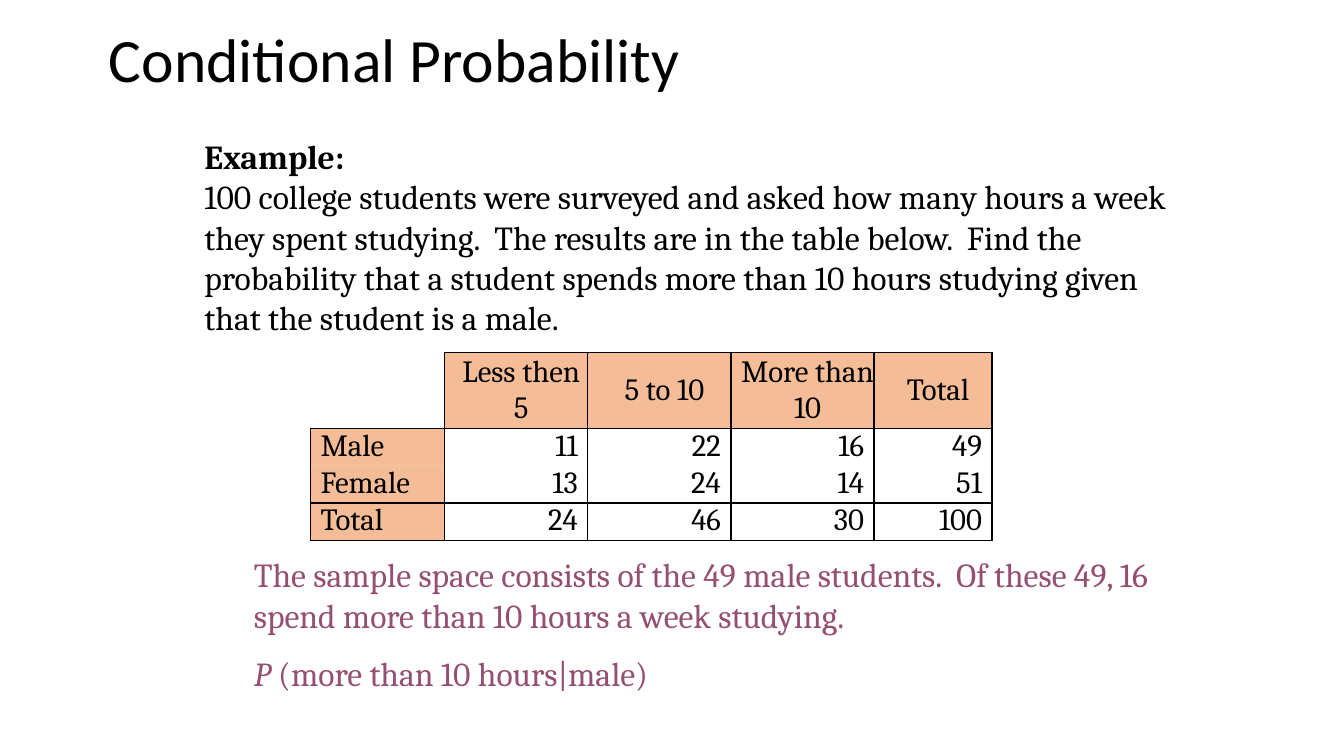
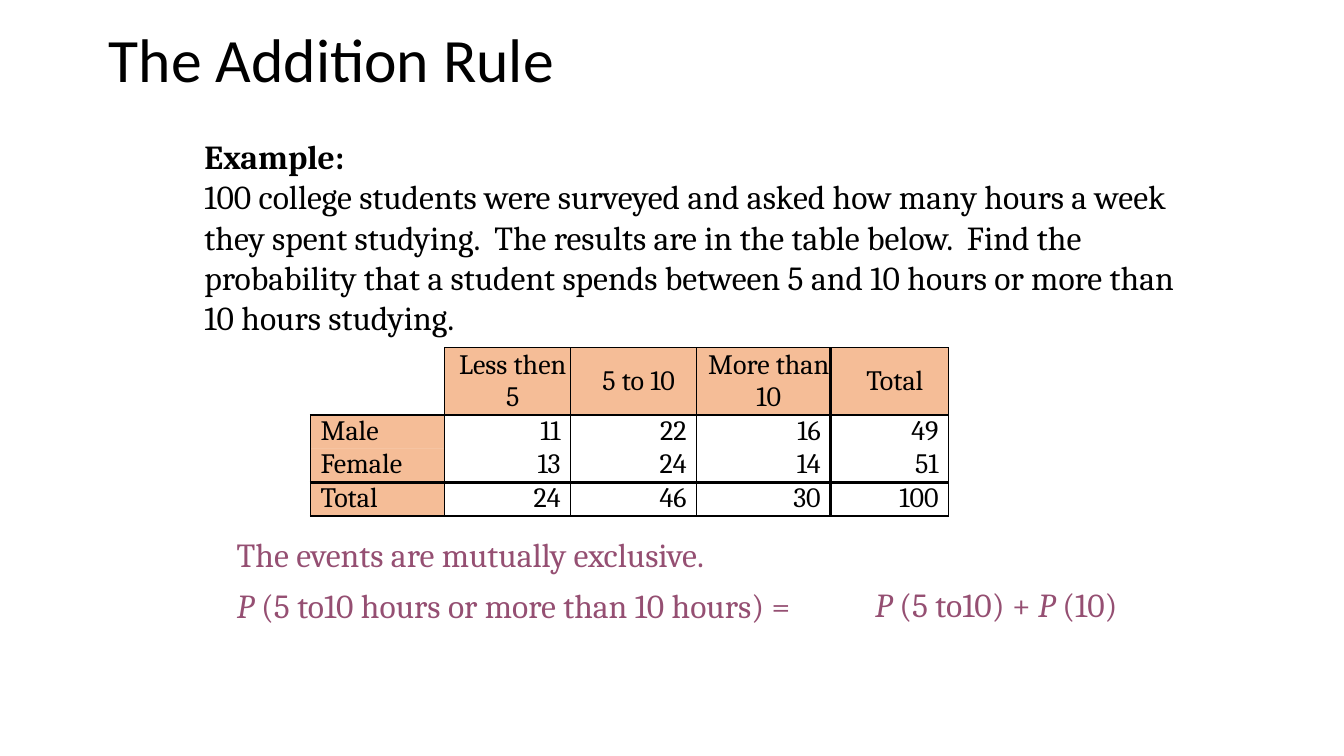
from dataclasses import dataclass

from lxml.etree import SubElement
from pptx import Presentation
from pptx.dml.color import RGBColor
from pptx.enum.text import MSO_ANCHOR as Anchor, MSO_AUTO_SIZE as AutoSize, PP_ALIGN as Align
from pptx.oxml.ns import qn
from pptx.util import Inches, Pt


@dataclass(frozen=True)
class Theme:
    ink: str = "000000"
    answer: str = "954F72"
    heading_fill: str = "ED7D31"
    heading_alpha: int = 50
    title_font: str = "Calibri"
    body_font: str = "Cambria"
    title_size: int = 44
    body_size: int = 24
    thin: float = 1
    thick: float = 2.25


THEME = Theme()

SURVEY = [
    ["", "Less then 5", "5 to 10", "More than 10", "Total"],
    ["Male", "11", "22", "16", "49"],
    ["Female", "13", "24", "14", "51"],
    ["Total", "24", "46", "30", "100"],
]
TOTAL_ROW, TOTAL_COL = len(SURVEY) - 1, len(SURVEY[0]) - 1

QUESTION = ("100 college students were surveyed and asked how many hours a week "
            "they spent studying.  The results are in the table below.  "
            "Find the probability that a student spends ")
P = ("P ", "i")

# Answers are (left, top, width, height, runs); a run is (text, style), where style is "", "b" or "i".
SLIDES = [
    dict(
        title="Conditional Probability",
        asked="more than 10 hours studying given that the student is a male.",
        table=dict(top=3.5, columns=[1.33, 1.42, 1.42, 1.42, 1.17],
                   header=0.75, row=0.37, size=22),
        answers=[
            (2.42, 5.45, 9.17, 0.91, [(
                "The sample space consists of the 49 male students.  Of these 49, "
                "16 spend more than 10 hours a week studying.", "")]),
            (2.42, 6.43, 6.75, 0.5, [P, ("(more than 10 hours|male)", "")]),
        ],
    ),
    dict(
        title="The Addition Rule",
        asked="between 5 and 10 hours or more than 10 hours studying.",
        table=dict(top=3.45, columns=[1.33, 1.25, 1.25, 1.33, 1.17],
                   header=0.66, row=0.33, size=20),
        answers=[
            (2.25, 5.25, 5.83, 0.5, [("The events are mutually exclusive.", "")]),
            (2.25, 5.75, 6.75, 0.5, [P, ("(5 to10 hours or more than 10 hours) =", "")]),
            (8.58, 5.74, 3.25, 0.5, [P, ("(5 to10) + ", ""), P, ("(10)", "")]),
        ],
    ),
]


def write(frame, paragraphs, size=THEME.body_size, font=THEME.body_font, color=THEME.ink,
          align=Align.LEFT, line_spacing=None):
    """Fill a text frame with paragraphs, each a list of (text, style) runs."""
    for index, runs in enumerate(paragraphs):
        paragraph = frame.add_paragraph() if index else frame.paragraphs[0]
        paragraph.alignment = align
        paragraph.line_spacing = line_spacing
        for text, style in runs:
            run = paragraph.add_run()
            run.text = text
            run.font.name = font
            run.font.size = Pt(size)
            run.font.color.rgb = RGBColor.from_string(color)
            run.font.bold = style == "b"
            run.font.italic = style == "i"


def add_title(slide, text):
    title = slide.shapes.title
    title.left, title.top = Inches(0), Inches(0.08)
    title.width, title.height = Inches(13.33), Inches(1.08)
    frame = title.text_frame
    frame.margin_left = Inches(1.08)
    frame.vertical_anchor = Anchor.MIDDLE
    write(frame, [[(text, "")]], size=THEME.title_size, font=THEME.title_font, line_spacing=0.9)


def add_text(slide, left, top, width, height, paragraphs, **text_format):
    box = slide.shapes.add_textbox(*map(Inches, (left, top, width, height)))
    frame = box.text_frame
    frame.word_wrap = True
    frame.auto_size = AutoSize.SHAPE_TO_FIT_TEXT
    write(frame, paragraphs, **text_format)


def column_rule(row, edge):
    """Width of the vertical rule left of column number edge."""
    if (row, edge) == (0, 0):
        return 0
    return THEME.thick if edge == TOTAL_COL else THEME.thin


def row_rule(edge, col):
    """Width of the horizontal rule above row number edge."""
    if (edge, col) == (0, 0) or edge == 2:
        return 0
    return THEME.thick if edge == TOTAL_ROW else THEME.thin


def set_borders(cell, row, col):
    properties = cell._tc.get_or_add_tcPr()
    widths = {"L": column_rule(row, col), "R": column_rule(row, col + 1),
              "T": row_rule(row, col), "B": row_rule(row + 1, col)}
    for side, width in widths.items():
        line = SubElement(properties, qn(f"a:ln{side}"), w=str(Pt(width)))
        if width:
            fill = SubElement(line, qn("a:solidFill"))
            SubElement(fill, qn("a:srgbClr"), val=THEME.ink)
        else:
            SubElement(line, qn("a:noFill"))


def set_fill(cell, is_heading):
    if not is_heading:
        cell.fill.background()
        return
    cell.fill.solid()
    cell.fill.fore_color.rgb = RGBColor.from_string(THEME.heading_fill)
    color = cell._tc.tcPr.find(qn("a:solidFill")).find(qn("a:srgbClr"))
    SubElement(color, qn("a:alpha"), val=str(THEME.heading_alpha * 1000))


def add_survey(slide, top, columns, header, row, size):
    heights = [header] + [row] * TOTAL_ROW
    table = slide.shapes.add_table(
        len(heights), len(columns), Inches(3.08), Inches(top),
        Inches(sum(columns)), Inches(sum(heights))).table
    table.first_row = table.horz_banding = False
    for column, width in zip(table.columns, columns):
        column.width = Inches(width)
    for table_row, height in zip(table.rows, heights):
        table_row.height = Inches(height)

    for r, values in enumerate(SURVEY):
        for c, value in enumerate(values):
            cell = table.cell(r, c)
            is_heading = r == 0 or c == 0
            cell.margin_left = Inches(0.1)
            cell.margin_right = Inches(0 if is_heading else 0.1)
            cell.margin_top = cell.margin_bottom = 0
            cell.vertical_anchor = Anchor.MIDDLE if r == 0 else Anchor.TOP
            set_borders(cell, r, c)
            set_fill(cell, is_heading and bool(value))
            align = Align.CENTER if r == 0 else Align.LEFT if c == 0 else Align.RIGHT
            write(cell.text_frame, [[(value, "")]], size=size, align=align)


def main():
    deck = Presentation()
    deck.slide_width, deck.slide_height = Inches(13.33), Inches(7.5)
    title_only = deck.slide_layouts[5]
    for content in SLIDES:
        slide = deck.slides.add_slide(title_only)
        add_title(slide, content["title"])
        add_text(slide, 1.93, 1.3, 9.83, 2.12,
                 [[("Example:", "b")], [(QUESTION + content["asked"], "")]])
        add_survey(slide, **content["table"])
        for *place, runs in content["answers"]:
            add_text(slide, *place, [runs], color=THEME.answer)
    deck.save("out.pptx")


if __name__ == "__main__":
    main()
